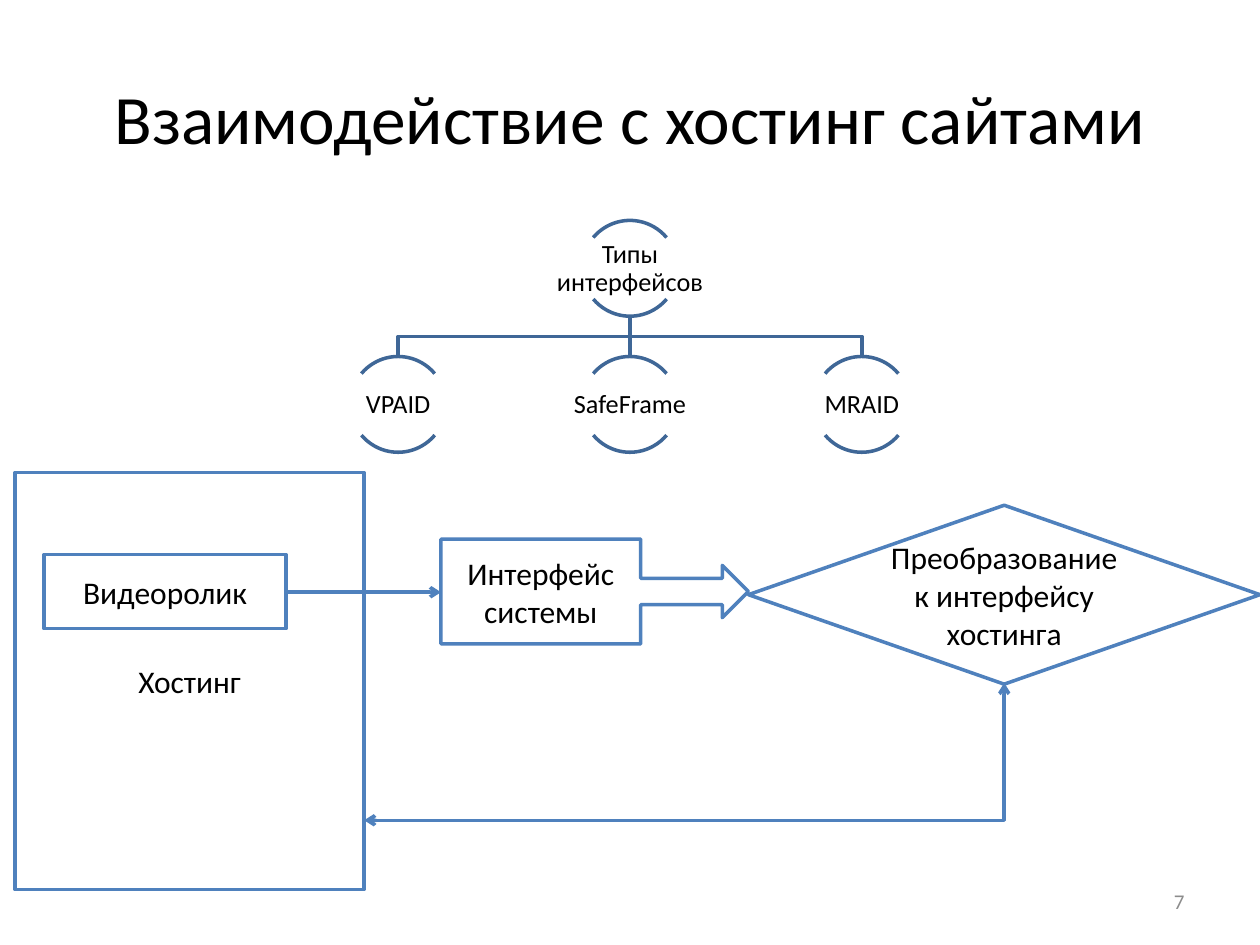
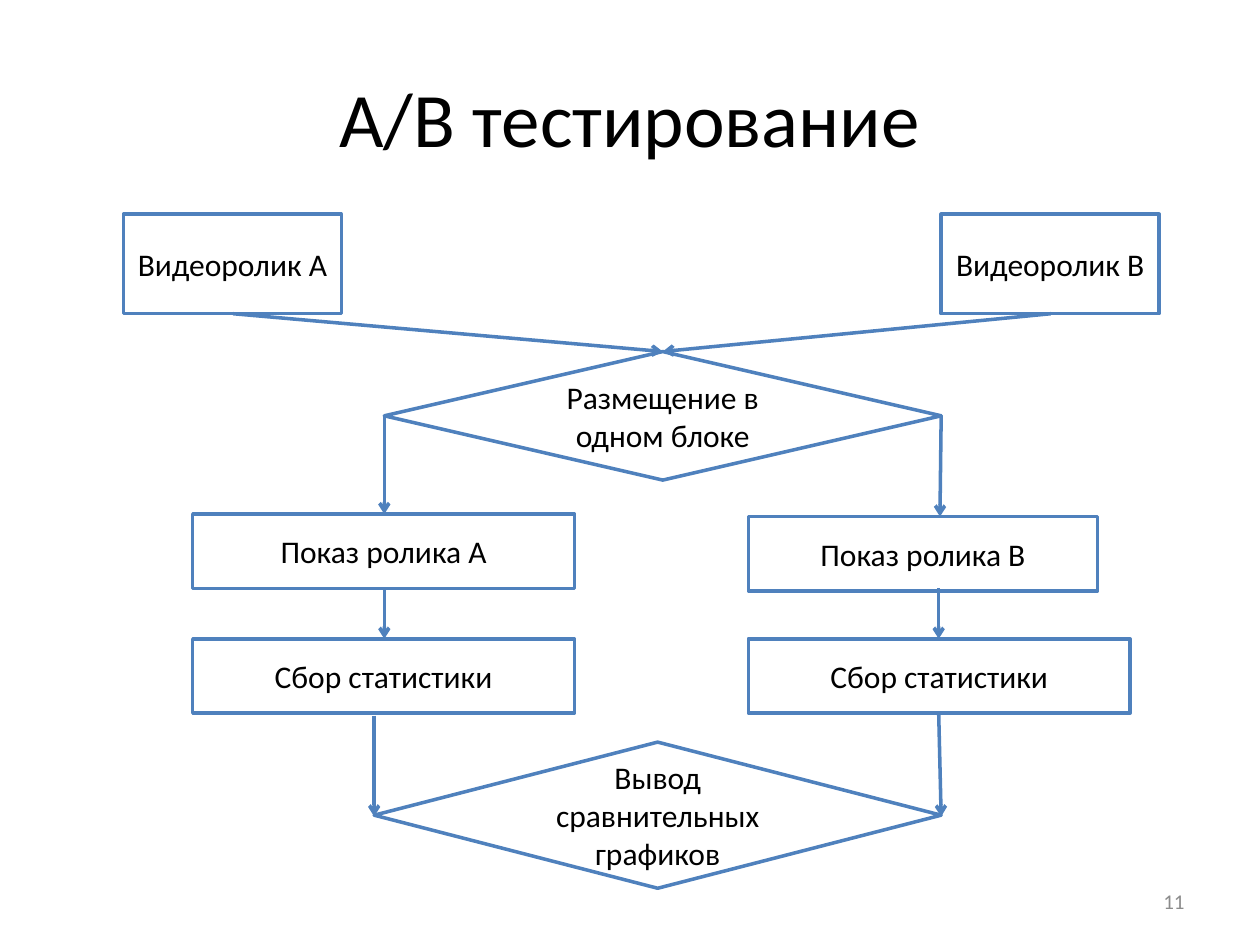
"""Build two flow diagram slides: hosting site interaction and A/B testing."""
from lxml.etree import SubElement
from pptx import Presentation
from pptx.dml.color import RGBColor
from pptx.enum.shapes import MSO_CONNECTOR, MSO_SHAPE
from pptx.enum.text import MSO_ANCHOR, PP_ALIGN
from pptx.oxml.ns import qn
from pptx.util import Inches, Pt

RECTANGLE, DIAMOND, ARC = MSO_SHAPE.RECTANGLE, MSO_SHAPE.DIAMOND, MSO_SHAPE.ARC
CALLOUT = MSO_SHAPE.RIGHT_ARROW_CALLOUT
STRAIGHT, ELBOW = MSO_CONNECTOR.STRAIGHT, MSO_CONNECTOR.ELBOW
CENTER, RIGHT, MIDDLE = PP_ALIGN.CENTER, PP_ALIGN.RIGHT, MSO_ANCHOR.MIDDLE

FONT = "Calibri"
BLACK, WHITE, GRAY = "000000", "FFFFFF", "8C8C8C"
BLUE, DARK_BLUE = "4F81BD", "3F6797"
LINE_WIDTH = 2
TITLE_BOX = (0.5, 0.3, 9, 1.25)
NUMBER_BOX = (7.17, 6.95, 2.33, 0.4)

TREE_ROOT = "Типы интерфейсов"
TREE_LEAVES = ["VPAID", "SafeFrame", "MRAID"]
TREE_CENTER, TREE_STEP = 5, 1.84
ROOT_TOP, LEAF_TOP = 1.75, 2.83
ARC_SIZE = 0.76
ARC_ANGLES = [(132, 192), (24, 84)]
LABEL_WIDTH, LABEL_HEIGHT, LABEL_OFFSET = 1.52, 0.49, 0.14

HOSTING = {
    "title": "Взаимодействие с хостинг сайтами",
    "title_size": 39.6,
    "number": "7",
    "nodes": [
        (RECTANGLE, "Хостинг", (0.12, 3.75, 2.77, 3.31)),
        (RECTANGLE, "Видеоролик", (0.35, 4.4, 1.92, 0.59)),
        (CALLOUT, "Интерфейс системы", (3.5, 4.28, 2.44, 0.83)),
        (DIAMOND, "Преобразование к интерфейсу хостинга", (5.94, 4.01, 4.06, 1.42)),
    ],
    "arrows": [((2.28, 4.7), (3.5, 4.7))],
}
RETURN_START, RETURN_END = (7.97, 5.42), (2.89, 6.51)

TESTING = {
    "title": "A/B тестирование",
    "title_size": 44,
    "number": "11",
    "nodes": [
        (RECTANGLE, "Видеоролик A", (0.98, 1.7, 1.73, 0.79)),
        (RECTANGLE, "Видеоролик B", (7.47, 1.7, 1.73, 0.79)),
        (DIAMOND, "Размещение в одном блоке", (3.05, 2.79, 4.42, 1.02)),
        (RECTANGLE, "Показ ролика A", (1.53, 4.08, 3.03, 0.59)),
        (RECTANGLE, "Показ ролика B", (5.94, 4.1, 2.77, 0.59)),
        (RECTANGLE, "Сбор статистики", (1.53, 5.07, 3.03, 0.59)),
        (RECTANGLE, "Сбор статистики", (5.94, 5.07, 3.03, 0.59)),
        (DIAMOND, "Вывод сравнительных графиков", (2.97, 5.89, 4.5, 1.16)),
    ],
    "arrows": [
        ((1.85, 2.49), (5.26, 2.79)),
        ((8.34, 2.49), (5.26, 2.79)),
        ((3.05, 3.3), (3.05, 4.08)),
        ((7.47, 3.3), (7.46, 4.1)),
        ((3.05, 4.67), (3.05, 5.07)),
        ((7.45, 4.67), (7.45, 5.07)),
        ((2.97, 5.68), (2.97, 6.48)),
        ((7.45, 5.66), (7.47, 6.48)),
    ],
}


def color(value):
    return RGBColor.from_string(value)


def inches(values):
    return [Inches(value) for value in values]


def write(shape, text, size, ink=BLACK, align=CENTER):
    frame = shape.text_frame
    frame.word_wrap = True
    frame.vertical_anchor = MIDDLE
    paragraph = frame.paragraphs[0]
    paragraph.alignment = align
    run = paragraph.add_run()
    run.text = text
    run.font.name = FONT
    run.font.size = Pt(size)
    run.font.color.rgb = color(ink)
    return frame


def set_line(shape, ink):
    shape.line.color.rgb = color(ink)
    shape.line.width = Pt(LINE_WIDTH)


def add_node(slide, kind, text, box):
    shape = slide.shapes.add_shape(kind, *inches(box))
    shape.shadow.inherit = False
    shape.fill.solid()
    shape.fill.fore_color.rgb = color(WHITE)
    set_line(shape, BLUE)
    write(shape, text, 18)


def add_line(slide, start, end, ink=BLUE, ends=("tailEnd",), kind=STRAIGHT):
    connector = slide.shapes.add_connector(kind, *inches(start + end))
    set_line(connector, ink)
    properties = connector._element.spPr
    for end_name in ends:
        SubElement(properties.find(qn("a:ln")), qn(f"a:{end_name}"), type="arrow")
    SubElement(properties, qn("a:effectLst"))
    return connector


def add_return_arrow(slide, start, end):
    center_x, center_y = (start[0] + end[0]) / 2, (start[1] + end[1]) / 2
    half_width, half_height = (end[1] - start[1]) / 2, (start[0] - end[0]) / 2
    connector = add_line(
        slide,
        (center_x - half_width, center_y - half_height),
        (center_x + half_width, center_y + half_height),
        ends=("headEnd", "tailEnd"),
        kind=ELBOW,
    )
    properties = connector._element.spPr
    properties.find(qn("a:xfrm")).set("rot", str(90 * 60000))
    properties.find(qn("a:prstGeom")).set("prst", "bentConnector2")


def add_branch(slide, x):
    start_y, end_y = ROOT_TOP + ARC_SIZE, LEAF_TOP
    if x == TREE_CENTER:
        add_line(slide, (x, start_y), (x, end_y), DARK_BLUE, ends=())
        return
    middle_y = (start_y + end_y) / 2
    points = [(TREE_CENTER, middle_y), (x, middle_y), (x, end_y)]
    builder = slide.shapes.build_freeform(Inches(TREE_CENTER), Inches(start_y))
    builder.add_line_segments([inches(point) for point in points], close=False)
    branch = builder.convert_to_shape()
    branch.shadow.inherit = False
    branch.fill.background()
    set_line(branch, DARK_BLUE)


def add_tree_item(slide, text, x, top):
    for angles in ARC_ANGLES:
        arc = slide.shapes.add_shape(
            ARC, *inches((x - ARC_SIZE / 2, top, ARC_SIZE, ARC_SIZE)))
        arc.adjustments[0], arc.adjustments[1] = angles
        arc.shadow.inherit = False
        arc.fill.background()
        set_line(arc, DARK_BLUE)
    label = slide.shapes.add_textbox(*inches(
        (x - LABEL_WIDTH / 2, top + LABEL_OFFSET, LABEL_WIDTH, LABEL_HEIGHT)))
    frame = write(label, text, 15)
    frame.margin_left = frame.margin_right = Inches(0.01)
    frame.margin_top = frame.margin_bottom = Inches(0.01)
    frame.paragraphs[0].line_spacing = 0.9


def add_tree(slide):
    middle = len(TREE_LEAVES) // 2
    columns = [TREE_CENTER + (index - middle) * TREE_STEP
               for index in range(len(TREE_LEAVES))]
    for x in columns:
        add_branch(slide, x)
    add_tree_item(slide, TREE_ROOT, TREE_CENTER, ROOT_TOP)
    for text, x in zip(TREE_LEAVES, columns):
        add_tree_item(slide, text, x, LEAF_TOP)


def add_diagram_slide(presentation, content):
    slide = presentation.slides.add_slide(presentation.slide_layouts[5])
    title = slide.shapes.title
    title.left, title.top, title.width, title.height = inches(TITLE_BOX)
    write(title, content["title"], content["title_size"])
    number = slide.shapes.add_textbox(*inches(NUMBER_BOX))
    write(number, content["number"], 12, GRAY, RIGHT)
    for node in content["nodes"]:
        add_node(slide, *node)
    for start, end in content["arrows"]:
        add_line(slide, start, end)
    return slide


def main():
    presentation = Presentation()
    presentation.slide_width, presentation.slide_height = inches((10, 7.5))
    hosting_slide = add_diagram_slide(presentation, HOSTING)
    add_tree(hosting_slide)
    add_return_arrow(hosting_slide, RETURN_START, RETURN_END)
    add_diagram_slide(presentation, TESTING)
    presentation.save("out.pptx")


if __name__ == "__main__":
    main()
